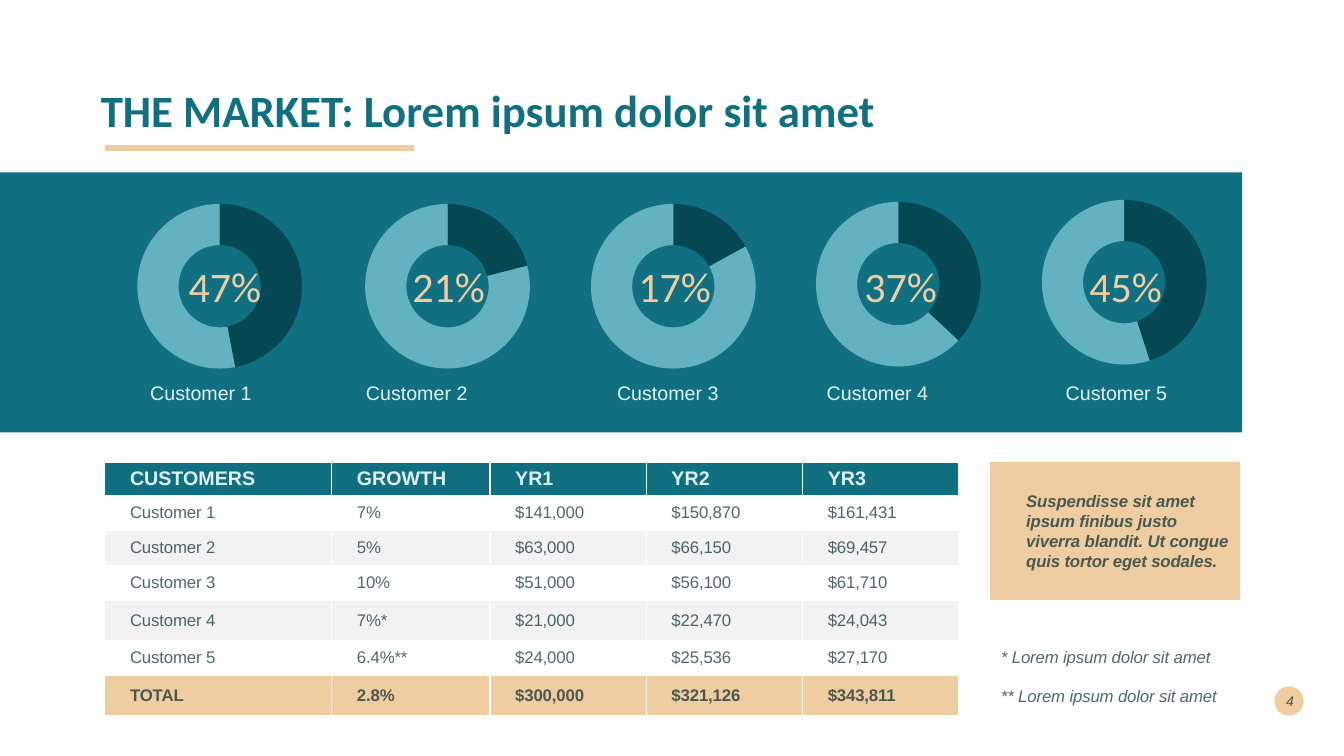
from dataclasses import dataclass
from typing import Optional

from lxml import etree
from pptx import Presentation
from pptx import util as u
from pptx.chart import data as chart_data
from pptx.dml import color
from pptx.enum import chart as charts, shapes, text
from pptx.oxml import ns


@dataclass(frozen=True)
class Theme:
    teal: str = "107082"
    deep: str = "054854"
    light: str = "64B2C1"
    pale: str = "E0F0F3"
    sand: str = "F0CDA1"
    stripe: str = "F2F2F2"
    white: str = "FFFFFF"
    ink: str = "00292E"
    ink_opacity: int = 70
    title_size: int = 32
    share_size: int = 30
    label_size: int = 14
    body_size: int = 12
    number_size: int = 10
    heading_font: str = "Calibri"
    body_font: str = "Arial"


@dataclass(frozen=True)
class Style:
    size: int
    color: str
    font: str = Theme.body_font
    bold: bool = False
    italic: bool = False
    spacing: int = 0


@dataclass(frozen=True)
class Box:
    """Percentages of the slide's width and height."""
    left: float
    top: float
    width: float
    height: float

    def lengths(self) -> tuple[int, int, int, int]:
        return across(self.left), down(self.top), across(self.width), down(self.height)


@dataclass(frozen=True)
class Customer:
    name: str
    share: int
    center: float
    top: float
    label_left: float
    label_width: float


@dataclass(frozen=True)
class Row:
    cells: tuple[str, ...]
    height: float
    fill: str
    style: Style


THEME = Theme()
WIDTH, HEIGHT = u.Inches(13.33), u.Inches(7.5)
TITLE = Style(THEME.title_size, THEME.teal, THEME.heading_font, bold=True)
SHARE = Style(THEME.share_size, THEME.sand, THEME.heading_font)
LABEL = Style(THEME.label_size, THEME.pale)
HEADER = Style(THEME.label_size, THEME.pale, bold=True)
BODY = Style(THEME.body_size, THEME.ink, spacing=-10)
TOTAL = Style(THEME.body_size, THEME.ink, bold=True, spacing=-10)
NOTE = Style(THEME.body_size, THEME.ink, italic=True, spacing=-10)
CALLOUT = Style(THEME.body_size, THEME.ink, bold=True, italic=True, spacing=-10)
NUMBER = Style(THEME.number_size, THEME.ink, italic=True)

CUSTOMERS = (
    Customer("Customer 1", 47, 16.35, 25.2, 11.1, 11.18),
    Customer("Customer 2", 21, 33.3, 25.2, 27.16, 12.38),
    Customer("Customer 3", 17, 50.1, 25.2, 45.84, 8.63),
    Customer("Customer 4", 37, 66.84, 24.93, 61.44, 11.1),
    Customer("Customer 5", 45, 83.65, 24.67, 79.22, 9),
)
DONUT_WIDTH, DONUT_HEIGHT, RING = 18.15, 25.33, 0.86
SHARE_TOP, LABEL_TOP = 34.4, 50.27

COLUMNS = (16.88, 11.78, 11.63, 11.63, 11.63)
ROWS = (
    Row(("CUSTOMERS", "GROWTH", "YR1", "YR2", "YR3"), 4.4, THEME.teal, HEADER),
    Row(("Customer 1", "7%", "$141,000", "$150,870", "$161,431"), 4.63, THEME.white, BODY),
    Row(("Customer 2", "5%", "$63,000", "$66,150", "$69,457"), 4.63, THEME.stripe, BODY),
    Row(("Customer 3", "10%", "$51,000", "$56,100", "$61,710"), 4.63, THEME.white, BODY),
    Row(("Customer 4", "7%*", "$21,000", "$22,470", "$24,043"), 5.3, THEME.stripe, BODY),
    Row(("Customer 5", "6.4%**", "$24,000", "$25,536", "$27,170"), 4.63, THEME.white, BODY),
    Row(("TOTAL", "2.8%", "$300,000", "$321,126", "$343,811"), 5.4, THEME.sand, TOTAL),
)
TABLE_BOX = Box(7.8, 61.1, sum(COLUMNS), sum(row.height for row in ROWS))


def across(percent: float) -> int:
    return int(WIDTH * percent / 100)


def down(percent: float) -> int:
    return int(HEIGHT * percent / 100)


def paint(fill, value: str) -> None:
    fill.solid()
    fill.fore_color.rgb = color.RGBColor.from_string(value)


def write(frame, words: str, style: Style, align=text.PP_ALIGN.LEFT,
          anchor=text.MSO_ANCHOR.MIDDLE, indent: float = 0, hanging: float = 0) -> None:
    frame.word_wrap = True
    frame.vertical_anchor = anchor
    para = frame.paragraphs[0]
    para.alignment = align
    if indent:
        properties = para._p.get_or_add_pPr()
        properties.set("marL", str(u.Inches(indent)))
        properties.set("indent", str(u.Inches(-hanging)))
    span = para.add_run()
    span.text = words
    font = span.font
    font.name, font.size = style.font, u.Pt(style.size)
    font.bold, font.italic = style.bold, style.italic
    paint(font.fill, style.color)
    run_properties = span._r.get_or_add_rPr()
    if style.spacing:
        run_properties.set("spc", str(style.spacing))
    if style.color == THEME.ink:
        tone = run_properties.find(".//" + ns.qn("a:srgbClr"))
        etree.SubElement(tone, ns.qn("a:alpha")).set("val", str(THEME.ink_opacity * 1000))


def add_text(page, box: Box, words: str, style: Style, margin: Optional[float] = None, **layout) -> None:
    frame = page.shapes.add_textbox(*box.lengths()).text_frame
    if margin is not None:
        frame.margin_left = frame.margin_right = frame.margin_bottom = 0
        frame.margin_top = u.Inches(margin)
    write(frame, words, style, **layout)


def add_block(page, kind, box: Box, fill: str):
    block = page.shapes.add_shape(kind, *box.lengths())
    block.shadow.inherit = False
    paint(block.fill, fill)
    block.line.fill.background()
    return block


def add_rule(page, left: float, right: float, top: float) -> None:
    rule = page.shapes.add_connector(
        shapes.MSO_CONNECTOR.STRAIGHT, across(left), down(top), across(right), down(top))
    paint(rule.line.fill, THEME.sand)
    rule.line.width = u.Pt(4.32)
    etree.SubElement(rule._element.spPr, ns.qn("a:effectLst"))


def add_donut(page, customer: Customer) -> None:
    values = chart_data.CategoryChartData()
    values.categories = ["1", "2"]
    values.add_series("Series 1", (customer.share, 100 - customer.share))
    box = Box(customer.center - DONUT_WIDTH / 2, customer.top, DONUT_WIDTH, DONUT_HEIGHT)
    chart = page.shapes.add_chart(charts.XL_CHART_TYPE.DOUGHNUT, *box.lengths(), values).chart
    chart.has_legend = chart.has_title = False
    chart.font.name, chart.font.size = THEME.body_font, u.Pt(THEME.number_size)
    plot = chart.plots[0]
    plot.vary_by_categories = False
    for index, tone in enumerate((THEME.deep, THEME.light)):
        point = plot.series[0].points[index].format
        paint(point.fill, tone)
        point.line.fill.background()

    space = chart._chartSpace
    space.find(".//" + ns.qn("c:holeSize")).set("val", "67")
    surface = etree.Element(ns.qn("c:spPr"))
    etree.SubElement(surface, ns.qn("a:noFill"))
    etree.SubElement(etree.SubElement(surface, ns.qn("a:ln")), ns.qn("a:noFill"))
    space.find(ns.qn("c:chart")).addnext(surface)

    area = space.find(".//" + ns.qn("c:plotArea"))
    for old in area.findall(ns.qn("c:layout")):
        area.remove(old)
    layout = etree.Element(ns.qn("c:layout"))
    area.insert(0, layout)
    manual = etree.SubElement(layout, ns.qn("c:manualLayout"))
    ring_width = RING * down(DONUT_HEIGHT) / across(DONUT_WIDTH)
    settings = {"layoutTarget": "inner", "xMode": "edge", "yMode": "edge",
                "x": (1 - ring_width) / 2, "y": (1 - RING) / 2, "w": ring_width, "h": RING}
    for name, value in settings.items():
        etree.SubElement(manual, ns.qn("c:" + name)).set("val", str(value))


def add_customer_table(page) -> None:
    table = page.shapes.add_table(len(ROWS), len(COLUMNS), *TABLE_BOX.lengths()).table
    for column, width in zip(table.columns, COLUMNS):
        column.width = across(width)
    for line, row in zip(table.rows, ROWS):
        line.height = down(row.height)
        for cell, words in zip(line.cells, row.cells):
            paint(cell.fill, row.fill)
            cell.margin_left = cell.margin_right = cell.margin_top = cell.margin_bottom = 0
            cell.vertical_anchor = text.MSO_ANCHOR.MIDDLE
            write(cell.text_frame, words, row.style, anchor=None, indent=0.25)


def main() -> None:
    deck = Presentation()
    deck.slide_width, deck.slide_height = WIDTH, HEIGHT
    page = deck.slides.add_slide(deck.slide_layouts.get_by_name("Title Only"))

    title = page.shapes.title
    title.left, title.top, title.width, title.height = Box(6.75, 5.33, 86.27, 19.33).lengths()
    write(title.text_frame, "THE MARKET: Lorem ipsum dolor sit amet", TITLE)
    title.text_frame.paragraphs[0].line_spacing = 0.9
    add_rule(page, 7.8, 30.83, 19.6)

    add_block(page, shapes.MSO_SHAPE.RECTANGLE, Box(0, 22.8, 92.42, 34.4), THEME.teal)
    top = text.MSO_ANCHOR.TOP
    for customer in CUSTOMERS:
        add_donut(page, customer)
        left, width = customer.label_left, customer.label_width
        add_text(page, Box(left, SHARE_TOP, width, 6.93), f"{customer.share}%", SHARE,
                 margin=0.01, align=text.PP_ALIGN.CENTER, anchor=top, indent=0.01)
        add_text(page, Box(left, LABEL_TOP, width, 3.33), customer.name, LABEL,
                 margin=0.01, anchor=top, indent=0.01)

    add_customer_table(page)

    callout = add_block(page, shapes.MSO_SHAPE.RECTANGLE, Box(73.67, 61.1, 18.6, 18.27), THEME.sand)
    write(callout.text_frame, "Suspendisse sit amet ipsum finibus justo viverra blandit. "
          "Ut congue quis tortor eget sodales.", CALLOUT, indent=0.26)
    add_text(page, Box(73.67, 84.13, 18.6, 5.47), "* Lorem ipsum dolor sit amet", NOTE, indent=0.01)
    add_text(page, Box(73.67, 89.33, 18.6, 5.47), "** Lorem ipsum dolor sit amet", NOTE,
             indent=0.15, hanging=0.14)

    add_block(page, shapes.MSO_SHAPE.OVAL, Box(94.82, 90.8, 2.18, 3.87), THEME.sand)
    add_text(page, Box(94.07, 90, 2.93, 5.33), "4", NUMBER, align=text.PP_ALIGN.RIGHT)
    deck.save("out.pptx")


if __name__ == "__main__":
    main()
